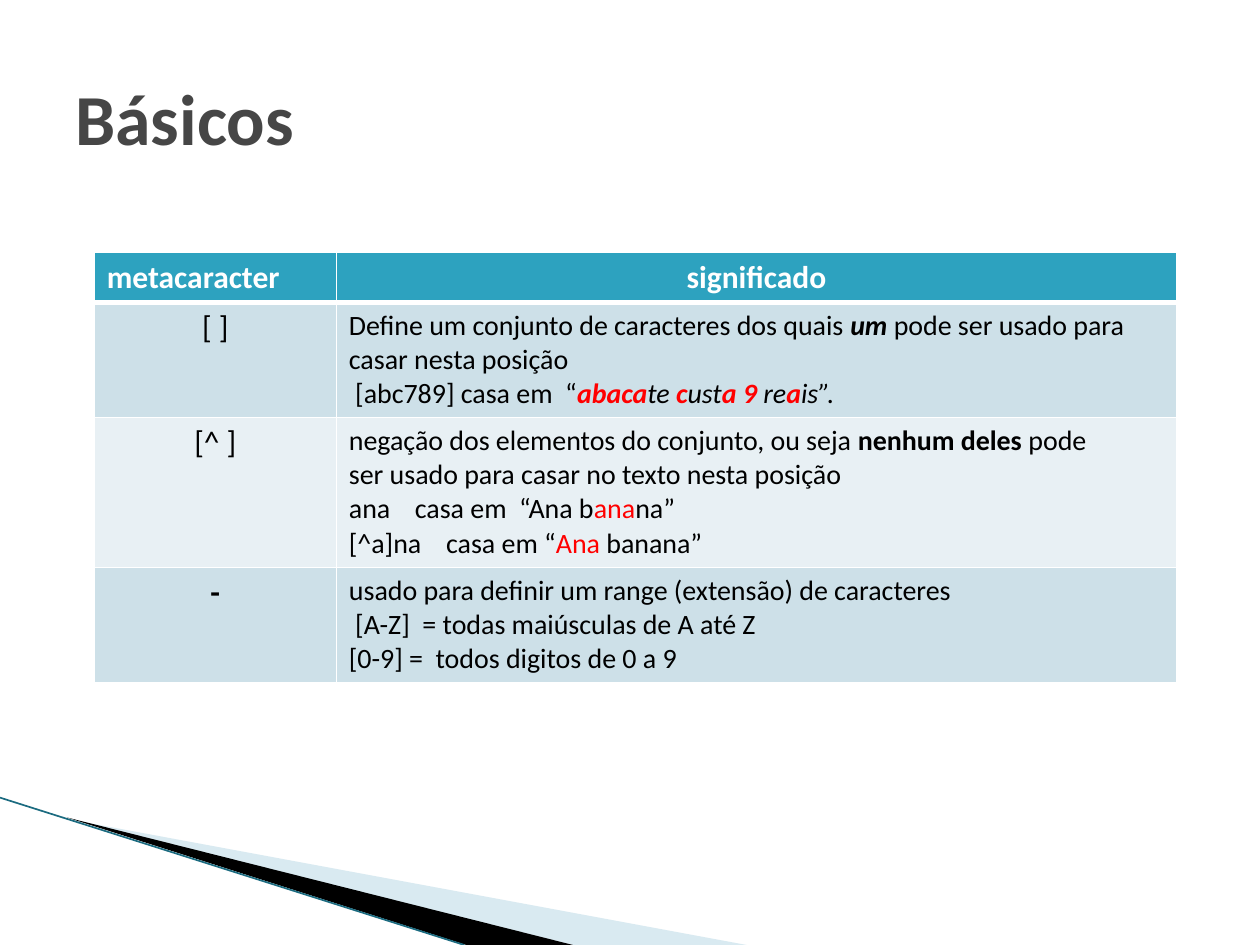
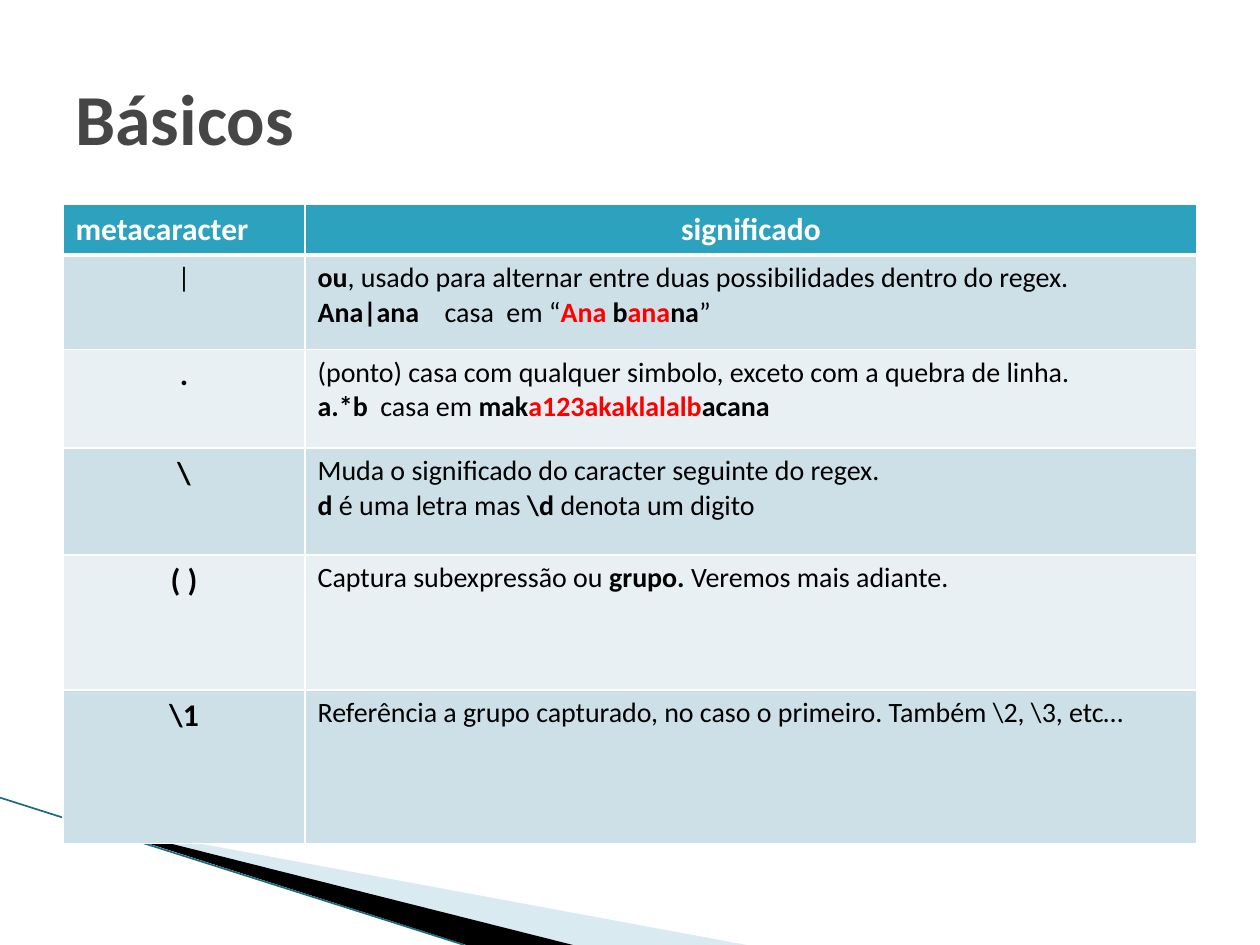
from lxml import etree
from pptx import Presentation
from pptx.dml.color import RGBColor
from pptx.enum.shapes import MSO_CONNECTOR
from pptx.enum.text import MSO_ANCHOR, PP_ALIGN
from pptx.oxml.ns import qn
from pptx.util import Cm, Pt

LEFT, CENTER = PP_ALIGN.LEFT, PP_ALIGN.CENTER
MIDDLE = MSO_ANCHOR.MIDDLE
STRAIGHT = MSO_CONNECTOR.STRAIGHT

WHITE = RGBColor(0xFF, 0xFF, 0xFF)
BLACK = RGBColor(0, 0, 0)
RED = RGBColor(0xFF, 0, 0)
GREY = RGBColor(0x46, 0x46, 0x46)
TEAL = RGBColor(0x2D, 0xA2, 0xBF)
DEEP = RGBColor(0x1B, 0x6B, 0x80)
SKY = RGBColor(0xA0, 0xCB, 0xDC)
BANDS = [RGBColor(0xE8, 0xF0, 0xF4), RGBColor(0xCD, 0xE0, 0xE8)]
FONT = "Calibri"
KEY_W = 4.88

WEDGES = [
    (SKY, 40, [(1.4, 16.52), (15.05, 19.05), (11.55, 19.05)]),
    (BLACK, 100, [(1.35, 16.48), (11.55, 19.05), (9.4, 19.05)]),
]

PAGES = [
    {
        "left": 1.9, "top": 5.08, "width": 21.82,
        "rows": [0.97, 2.32, 3.02, 2.32],
        "items": [
            ("[ ]", "", 18, [
                (0, [("Define um conjunto de caracteres dos quais ", ""), ("um ", "bi"),
                     ("pode ser usado para casar nesta posição\n [abc789] casa em  “", ""),
                     ("abaca", "bir"), ("te ", "i"), ("c", "bir"), ("ust", "i"),
                     ("a 9 ", "bir"), ("re", "i"), ("a", "bir"), ("is”.", "i")]),
            ]),
            ("[^ ]", "", 18, [
                (0, [("negação dos elementos do conjunto, ou seja ", ""),
                     ("nenhum deles ", "b"),
                     ("pode \nser usado para casar no texto nesta posição", "")]),
                (1.33, [("ana\tcasa em  “Ana b", ""), ("ana", "r"), ("na”", "")]),
                (1.96, [("[^a]na\tcasa em “", ""), ("Ana", "r"), (" banana”", "")]),
            ]),
            ("-", "b", 18, [
                (0, [("usado para definir um range (extensão) de caracteres", "")]),
                (0, [(" [A-Z]  = todas maiúsculas de A até Z", "")]),
                (0, [("[0-9] =  todos digitos de 0 a 9", "")]),
            ]),
        ],
    },
    {
        "left": 1.27, "top": 4.12, "width": 22.86,
        "rows": [0.97, 1.91, 1.98, 2.16, 2.72, 3.1],
        "items": [
            ("|", "", 16, [
                (0, [("ou", "b"),
                     (", usado para alternar entre duas possibilidades dentro do regex.", "")]),
                (2.56, [("Ana|ana\t", "b"), ("casa  em “", ""), ("Ana", "br"), (" b", "b"),
                        ("ana", "br"), ("na", "b"), ("”", "")]),
            ]),
            (".", "b", 18, [
                (0, [("(ponto) casa com qualquer simbolo, exceto com a quebra de linha.", "")]),
                (0, [("a.*b", "b"), ("  casa em ", ""), ("mak", "b"),
                     ("a123akaklalalb", "br"), ("acana", "b")]),
            ]),
            ("\\", "b", 18, [
                (0, [("Muda o significado do caracter seguinte do regex.", "")]),
                (0, [("d", "b"), (" é uma letra mas", ""), (" \\d ", "b"),
                     ("denota um digito", "")]),
            ]),
            ("( )", "b", 18, [
                (0, [("Captura subexpressão ou ", ""), ("grupo. ", "b"),
                     ("Veremos mais adiante.", "")]),
            ]),
            ("\\1", "b", 18, [
                (0, [("Referência a grupo capturado, no caso o primeiro. "
                      "Também \\2, \\3, etc…", "")]),
            ]),
        ],
    },
]


def write(frame, lines, size, color, align):
    for n, (stop, parts) in enumerate(lines):
        para = frame.paragraphs[0] if n == 0 else frame.add_paragraph()
        para.alignment = align
        if stop:
            tabs = etree.SubElement(para._p.get_or_add_pPr(), qn("a:tabLst"))
            etree.SubElement(tabs, qn("a:tab"), pos=str(Cm(stop)), algn="l")
        for text, style in parts:
            for k, piece in enumerate(text.split("\n")):
                if k:
                    para.add_line_break()
                run = para.add_run()
                run.text = piece
                font = run.font
                font.name, font.size = FONT, Pt(size)
                font.bold, font.italic = "b" in style, "i" in style
                font.color.rgb = RED if "r" in style else color


def edge(cell, row):
    props = cell._tc.get_or_add_tcPr()
    for side in "LRTB":
        thick = (row == 0 and side == "B") or (row == 1 and side == "T")
        line = etree.SubElement(props, qn("a:ln" + side), w=str(Pt(3 if thick else 1)))
        fill = etree.SubElement(line, qn("a:solidFill"))
        etree.SubElement(fill, qn("a:srgbClr"), val=str(WHITE))


deck = Presentation()
deck.slide_width, deck.slide_height = Cm(25.4), Cm(19.05)

for page in PAGES:
    slide = deck.slides.add_slide(deck.slide_layouts[6])
    shapes = slide.shapes
    slide.background.fill.solid()
    slide.background.fill.fore_color.rgb = WHITE

    for color, alpha, spots in WEDGES:
        spots = [(Cm(x), Cm(y)) for x, y in spots]
        pen = shapes.build_freeform(*spots[0])
        pen.add_line_segments(spots[1:])
        wedge = pen.convert_to_shape()
        wedge.shadow.inherit = False
        wedge.line.fill.background()
        wedge.fill.solid()
        wedge.fill.fore_color.rgb = color
        if alpha < 100:
            tint = wedge._element.spPr.find(".//" + qn("a:srgbClr"))
            etree.SubElement(tint, qn("a:alpha"), val=str(alpha * 1000))

    rule = shapes.add_connector(STRAIGHT, 0, Cm(16.08), Cm(9.36), Cm(19.05))
    rule.line.color.rgb = DEEP
    rule.line.width = Pt(0.95)
    etree.SubElement(rule._element.spPr, qn("a:effectLst"))

    title = shapes.add_textbox(Cm(1.27), Cm(0.76), Cm(22.86), Cm(3.18)).text_frame
    title.word_wrap = True
    title.vertical_anchor = MIDDLE
    write(title, [(0, [("Básicos", "b")])], 41, GREY, LEFT)

    rows = page["rows"]
    table = shapes.add_table(len(rows), 2, Cm(page["left"]), Cm(page["top"]),
                             Cm(page["width"]), Cm(sum(rows))).table
    table.columns[0].width = Cm(KEY_W)
    table.columns[1].width = Cm(page["width"] - KEY_W)
    for r, height in enumerate(rows):
        table.rows[r].height = Cm(height)
        for c in range(2):
            cell = table.cell(r, c)
            edge(cell, r)
            cell.fill.solid()
            cell.fill.fore_color.rgb = BANDS[r % 2] if r else TEAL

    heads = [("metacaracter", LEFT), ("significado", CENTER)]
    for c, (head, align) in enumerate(heads):
        write(table.cell(0, c).text_frame, [(0, [(head, "b")])], 18, WHITE, align)
    for r, (key, style, size, lines) in enumerate(page["items"], 1):
        write(table.cell(r, 0).text_frame, [(0, [(key, style)])], size, BLACK, CENTER)
        write(table.cell(r, 1).text_frame, lines, 16, BLACK, LEFT)

deck.save("out.pptx")
